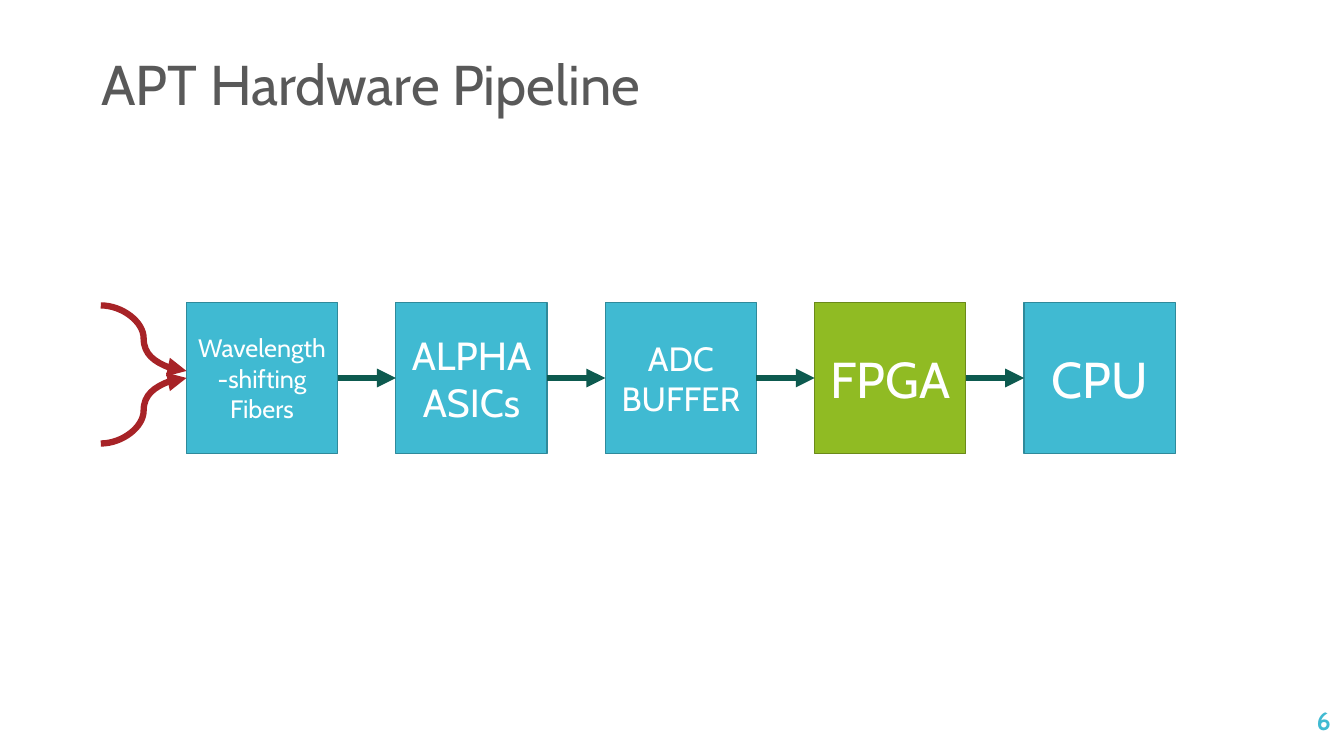
import pptx
import pptx.util
import pptx.dml.color
import pptx.enum.shapes
import pptx.enum.text
import pptx.oxml
import pptx.oxml.ns
from dataclasses import dataclass

SHAPE = pptx.enum.shapes.MSO_SHAPE
LINK = pptx.enum.shapes.MSO_CONNECTOR
ALIGN = pptx.enum.text.PP_ALIGN
ANCHOR = pptx.enum.text.MSO_ANCHOR
SIDE_LEFT, SIDE_RIGHT = 1, 3
COLS, ROWS = 160, 90


@dataclass(frozen=True)
class Theme:
    font: str = "Cabin"
    title: str = "595959"
    white: str = "FFFFFF"
    blue: str = "40BAD2"
    blue_edge: str = "2F8A9B"
    green: str = "90BB23"
    green_edge: str = "6B8A1A"
    red: str = "A72327"
    teal: str = "0D5A4F"
    head: int = 40
    large: int = 36
    mid: int = 28
    body: int = 24
    small: int = 18
    edge: float = 0.85
    arrow: float = 4.5


def grid(n):
    return pptx.util.Inches(n / 12)


def color(code):
    return pptx.dml.color.RGBColor.from_string(code)


class Deck:
    def __init__(self, theme):
        self.theme = theme
        self.show = pptx.Presentation()
        self.show.slide_width = grid(COLS)
        self.show.slide_height = grid(ROWS)
        self.slide = self.show.slides.add_slide(self.show.slide_layouts[5])

    def label(self, shape, text, size, tint, align, anchor, bold=False):
        frame = shape.text_frame
        frame.vertical_anchor = anchor
        para = frame.paragraphs[0]
        para.alignment = align
        run = para.add_run()
        run.text = text
        run.font.name = self.theme.font
        run.font.size = pptx.util.Pt(size)
        run.font.bold = bold
        run.font.color.rgb = color(tint)

    def title(self, text, left, top, width, height):
        shape = self.slide.shapes.title
        shape.left, shape.top = grid(left), grid(top)
        shape.width, shape.height = grid(width), grid(height)
        shape.text_frame.word_wrap = False
        self.label(shape, text, self.theme.head, self.theme.title,
                   ALIGN.CENTER, ANCHOR.TOP)

    def number(self, text, left, top, width, height):
        box = self.slide.shapes.add_textbox(
            grid(left), grid(top), grid(width), grid(height))
        box.text_frame.word_wrap = True
        self.label(box, text, self.theme.small, self.theme.blue,
                   ALIGN.RIGHT, ANCHOR.MIDDLE, True)

    def stage(self, text, left, top, side, size, fill, edge):
        box = self.slide.shapes.add_shape(
            SHAPE.RECTANGLE, grid(left), grid(top), grid(side), grid(side))
        box.shadow.inherit = False
        box.fill.solid()
        box.fill.fore_color.rgb = color(fill)
        box.line.color.rgb = color(edge)
        box.line.width = pptx.util.Pt(self.theme.edge)
        box.text_frame.word_wrap = True
        self.label(box, text, size, self.theme.white,
                   ALIGN.CENTER, ANCHOR.MIDDLE)
        return box

    def arrow(self, kind, start, end, tint):
        line = self.slide.shapes.add_connector(
            kind, *map(grid, start), *map(grid, end))
        line.line.color.rgb = color(tint)
        line.line.width = pptx.util.Pt(self.theme.arrow)
        tail = pptx.oxml.parse_xml(
            '<a:tailEnd xmlns:a="http://schemas.openxmlformats.org/'
            'drawingml/2006/main" type="triangle"/>')
        props = line.element.spPr
        props.get_or_add_ln().append(tail)
        props.append(props.makeelement(pptx.oxml.ns.qn("a:effectLst"), {}))
        return line

    def join(self, first, last):
        line = self.arrow(LINK.STRAIGHT, (0, 0), (0, 0), self.theme.teal)
        line.begin_connect(first, SIDE_RIGHT)
        line.end_connect(last, SIDE_LEFT)


def main():
    theme = Theme()
    deck = Deck(theme)
    deck.title("APT Hardware Pipeline", 10.56, 5.28, 67.2, 9.24)

    left, top, side, step = 22.2, 36, 18, 24.93
    blue = (theme.blue, theme.blue_edge)
    green = (theme.green, theme.green_edge)
    stages = [
        ("Wavelength-shifting Fibers", theme.small, blue),
        ("ALPHA ASICs", theme.mid, blue),
        ("ADC BUFFER", theme.body, blue),
        ("FPGA", theme.large, green),
        ("CPU", theme.large, blue),
    ]
    boxes = [deck.stage(text, left + i * step, top, side, size, *tints)
             for i, (text, size, tints) in enumerate(stages)]

    for start, end in ((52.8, 45), (36.36, 44.16)):
        deck.arrow(LINK.CURVE, (12, start), (left, end), theme.red)
    for first, last in zip(boxes, boxes[1:]):
        deck.join(first, last)

    deck.number("6", 139.56, 83.4, 20.04, 4.8)
    deck.show.save("out.pptx")


if __name__ == "__main__":
    main()
